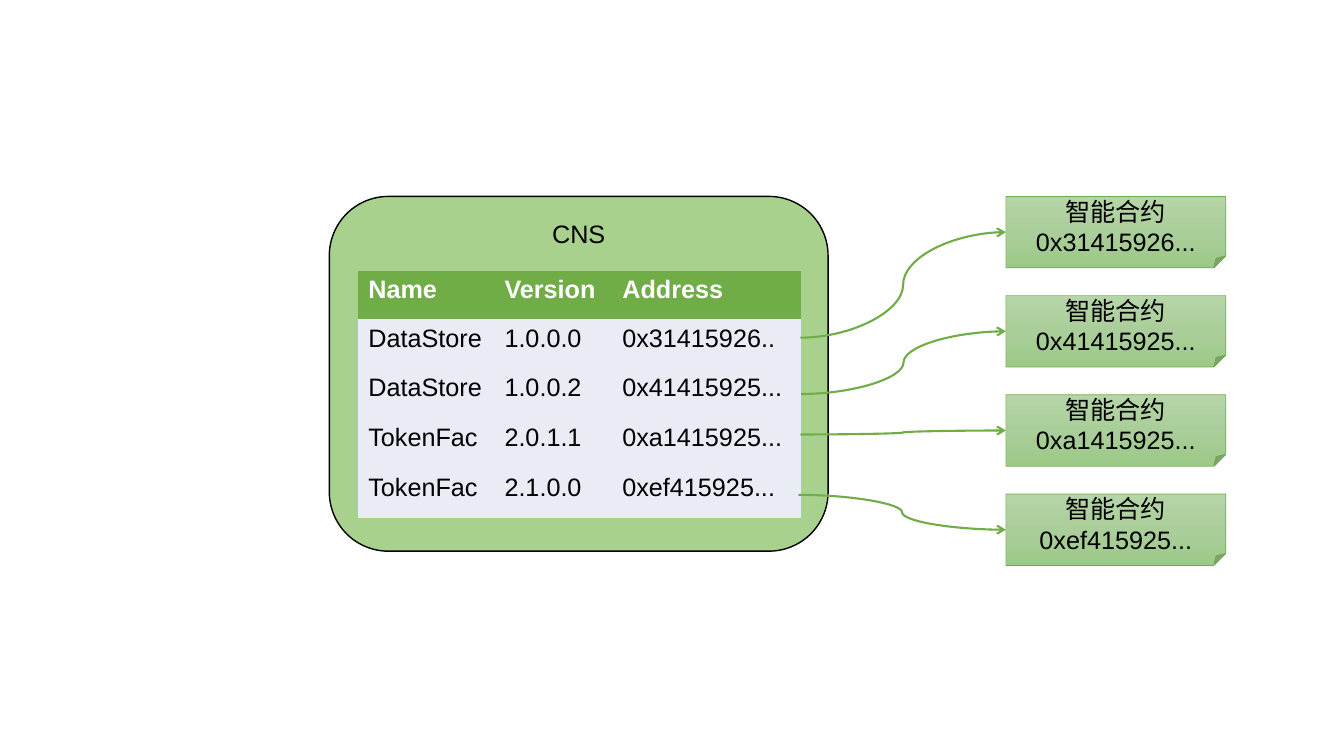
import copy

import pptx
import pptx.dml.color
import pptx.enum.shapes
import pptx.enum.text
import pptx.oxml
import pptx.oxml.ns
import pptx.util
from pptx.util import Cm

COLORS = {
    "panel": "A9D18E", "green": "70AD47", "row": "E9EBF5",
    "black": "000000", "white": "FFFFFF",
}
NOTE_GRADIENT = ((0, "B5D5A7"), (0.5, "AACE9A"), (1, "9CC987"))
PLAIN_TABLE_STYLE = "{2D5ABB26-0587-4C30-8999-92F81FD0307C}"
HEADINGS = ("Name", "Version", "Address")
CONTRACTS = (
    ("DataStore", "1.0.0.0", "0x31415926.."),
    ("DataStore", "1.0.0.2", "0x41415925..."),
    ("TokenFac", "2.0.1.1", "0xa1415925..."),
    ("TokenFac", "2.1.0.0", "0xef415925..."),
)
NOTE_ADDRESSES = ("0x31415926...", "0x41415925...", "0xa1415925...", "0xef415925...")
LINK_STARTS = ((20.17, 8.51), (20.19, 9.93), (20.17, 10.95), (20.12, 12.47))


def rgb(value):
    """Return the colour object for a hex string."""
    return pptx.dml.color.RGBColor.from_string(value)


def write_text(text_frame, text, color="black", bold=False, alignment=None):
    """Write styled paragraphs, one for each line of text."""
    text_frame.text = text
    for paragraph in text_frame.paragraphs:
        paragraph.alignment = alignment
        paragraph.font.name = "Arial"
        paragraph.font.size = pptx.util.Pt(18)
        paragraph.font.bold = bold
        paragraph.font.color.rgb = rgb(COLORS[color])


def add_box(slide, kind, box, text, anchor, line_color, line_width):
    """Add an outlined shape with centred text."""
    shape = slide.shapes.add_shape(kind, *(Cm(length) for length in box))
    shape.shadow.inherit = False
    shape.line.color.rgb = rgb(COLORS[line_color])
    shape.line.width = pptx.util.Pt(line_width)
    shape.text_frame.vertical_anchor = anchor
    write_text(shape.text_frame, text, alignment=pptx.enum.text.PP_ALIGN.CENTER)
    return shape


def add_registry_table(slide, left, top):
    """Add the table of contract names, versions and addresses."""
    widths = (3.43, 2.97, 4.75)
    heights = (1.22,) + (1.25,) * len(CONTRACTS)
    frame = slide.shapes.add_table(
        len(heights), len(widths), Cm(left), Cm(top), Cm(sum(widths)), Cm(sum(heights)))
    table = frame.table
    frame._element.find(".//" + pptx.oxml.ns.qn("a:tableStyleId")).text = PLAIN_TABLE_STYLE
    for column, width in zip(table.columns, widths):
        column.width = Cm(width)
    for row_index, values in enumerate((HEADINGS,) + CONTRACTS):
        table.rows[row_index].height = Cm(heights[row_index])
        is_heading = row_index == 0
        for column_index, value in enumerate(values):
            cell = table.cell(row_index, column_index)
            cell.fill.solid()
            cell.fill.fore_color.rgb = rgb(COLORS["green" if is_heading else "row"])
            write_text(cell.text_frame, value, "white" if is_heading else "black", is_heading)


def add_registry(slide, left, top, width, height):
    """Add the rounded CNS panel and its table."""
    panel = add_box(
        slide, pptx.enum.shapes.MSO_SHAPE.ROUNDED_RECTANGLE, (left, top, width, height),
        "CNS", pptx.enum.text.MSO_ANCHOR.TOP, "black", 1)
    panel.fill.solid()
    panel.fill.fore_color.rgb = rgb(COLORS["panel"])
    add_registry_table(slide, left + 0.73, top + 1.88)


def add_contract_note(slide, left, top, width, height, address):
    """Add a folded note with a vertical gradient for one contract."""
    note = add_box(
        slide, pptx.enum.shapes.MSO_SHAPE.FOLDED_CORNER, (left, top, width, height),
        "智能合约\n" + address, pptx.enum.text.MSO_ANCHOR.MIDDLE, "green", 0.5)
    note.fill.gradient()
    note.fill.gradient_angle = 270
    first_stop = note._element.spPr.find(".//" + pptx.oxml.ns.qn("a:gs"))
    first_stop.addnext(copy.deepcopy(first_stop))
    for stop, (position, color) in zip(note.fill.gradient_stops, NOTE_GRADIENT):
        stop.position = position
        stop.color.rgb = rgb(color)


def add_link(slide, start, end):
    """Add a curved arrow from a table row to a note."""
    link = slide.shapes.add_connector(
        pptx.enum.shapes.MSO_CONNECTOR.CURVE, *(Cm(length) for length in start + end))
    link.line.color.rgb = rgb(COLORS["green"])
    link.line.width = pptx.util.Pt(1.5)
    pptx.oxml.ns.qn("a:tailEnd")
    arrowhead = pptx.oxml.parse_xml(
        f'<a:tailEnd {pptx.oxml.ns.nsdecls("a")} type="arrow"/>')
    link.line._get_or_add_ln().append(arrowhead)
    link._element.spPr.append(
        pptx.oxml.parse_xml(f'<a:effectLst {pptx.oxml.ns.nsdecls("a")}/>'))


def add_contracts(slide, left, top, width, height):
    """Add the evenly spaced column of notes and the arrows to them."""
    note_height = 1.8
    pitch = (height - note_height) / (len(NOTE_ADDRESSES) - 1)
    tops = [top + index * pitch for index in range(len(NOTE_ADDRESSES))]
    for note_top, address in zip(tops, NOTE_ADDRESSES):
        add_contract_note(slide, left, note_top, width, note_height, address)
    for note_top, start in zip(tops, LINK_STARTS):
        add_link(slide, start, (left, note_top + note_height / 2))


def main():
    """Build the slide and save it."""
    presentation = pptx.Presentation()
    presentation.slide_width = Cm(33.87)
    presentation.slide_height = Cm(19.05)
    slide = presentation.slides.add_slide(presentation.slide_layouts[6])
    add_registry(slide, 8.3, 4.95, 12.57, 8.94)
    add_contracts(slide, 25.35, 4.95, 5.54, 9.3)
    presentation.save("out.pptx")


main()
